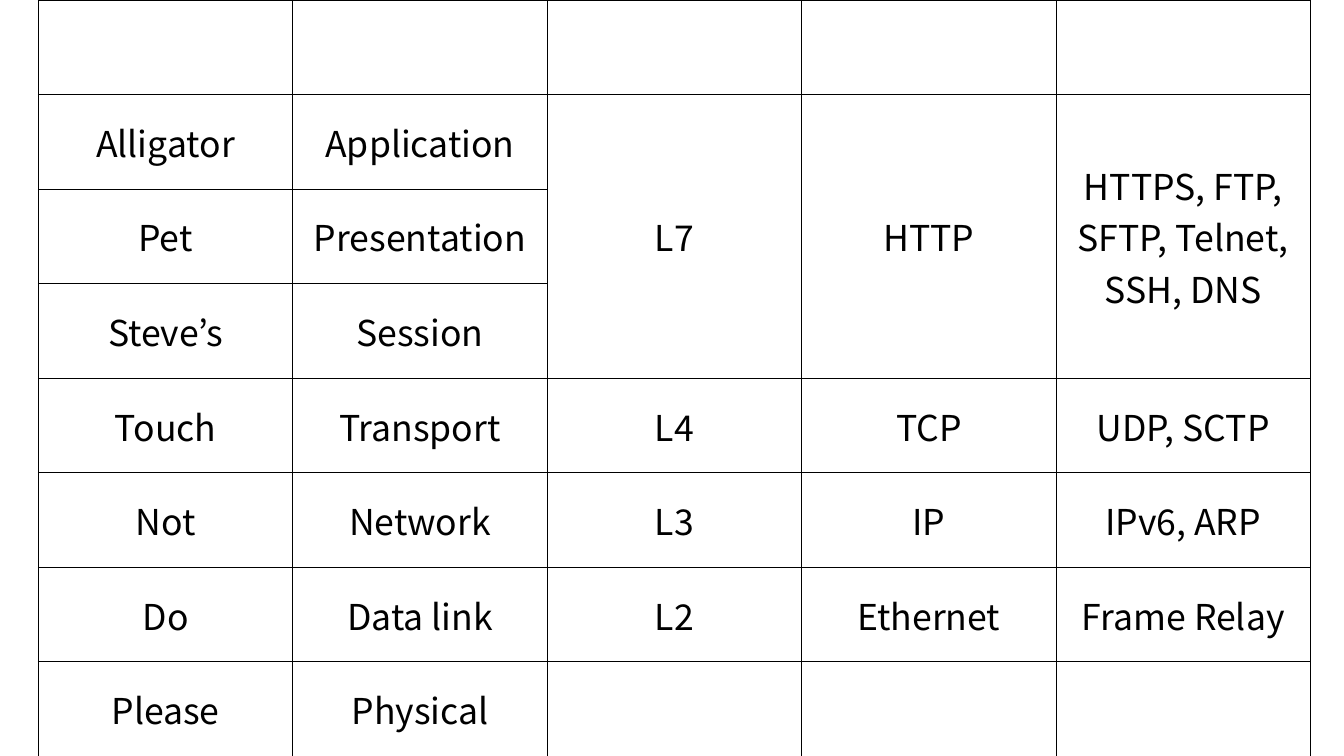
from dataclasses import dataclass

from lxml import etree
from pptx import Presentation
from pptx import util as u
from pptx.dml import color
from pptx.enum import text
from pptx.oxml import ns

LEFT, TOP = u.Cm(0.8), u.Cm(0)
COLUMN_WIDTH, ROW_HEIGHT = u.Cm(5.3), u.Cm(1.97)
COLUMNS = 5
BLACK = "000000"
BORDER_WIDTH = u.Cm(0.02)

CELL_FORMAT = {
    "margin_left": u.Cm(0.1),
    "margin_right": u.Cm(0.1),
    "margin_top": u.Cm(0.13),
    "margin_bottom": u.Cm(0.13),
    "vertical_anchor": text.MSO_ANCHOR.MIDDLE,
}
FONT_FORMAT = {"name": "Noto Sans CJK KR", "size": u.Pt(21)}


@dataclass(frozen=True)
class Layer:
    """One row: mnemonic word, OSI layer, level, main protocol, others."""
    mnemonic: str = ""
    osi_name: str = ""
    level: str = ""
    protocol: str = ""
    others: str = ""
    row_span: int = 1  # rows shared by the level and protocol cells

    def texts(self) -> tuple[str, ...]:
        return (self.mnemonic, self.osi_name, self.level, self.protocol, self.others)


LAYERS = [
    Layer(),
    Layer("Alligator", "Application", "L7", "HTTP",
          "HTTPS, FTP, SFTP, Telnet, SSH, DNS", row_span=3),
    Layer("Pet", "Presentation"),
    Layer("Steve’s", "Session"),
    Layer("Touch", "Transport", "L4", "TCP", "UDP, SCTP"),
    Layer("Not", "Network", "L3", "IP", "IPv6, ARP"),
    Layer("Do", "Data link", "L2", "Ethernet", "Frame Relay"),
    Layer("Please", "Physical"),
]


def rgb(hex_value: str) -> color.RGBColor:
    return color.RGBColor.from_string(hex_value)


def apply_format(target, values: dict) -> None:
    for attribute, value in values.items():
        setattr(target, attribute, value)


def add_borders(cell) -> None:
    """Draw a thin line on all four sides, ahead of the fill element."""
    properties = cell._tc.get_or_add_tcPr()
    for position, side in enumerate(("lnL", "lnR", "lnT", "lnB")):
        line = etree.Element(ns.qn(f"a:{side}"), w=str(BORDER_WIDTH))
        fill = etree.SubElement(line, ns.qn("a:solidFill"))
        etree.SubElement(fill, ns.qn("a:srgbClr"), val=BLACK)
        properties.insert(position, line)


def fill_cell(cell, wording: str) -> None:
    apply_format(cell, CELL_FORMAT)
    cell.fill.background()
    add_borders(cell)
    if wording:
        paragraph = cell.text_frame.paragraphs[0]
        paragraph.alignment = text.PP_ALIGN.CENTER
        run = paragraph.add_run()
        run.text = wording
        apply_format(run.font, FONT_FORMAT)
        run.font.color.rgb = rgb(BLACK)


def add_layer_table(slide) -> None:
    layer_table = slide.shapes.add_table(
        len(LAYERS), COLUMNS, LEFT, TOP,
        COLUMN_WIDTH * COLUMNS, ROW_HEIGHT * len(LAYERS)).table
    apply_format(layer_table, {"first_row": False, "horz_banding": False})
    for column in layer_table.columns:
        column.width = COLUMN_WIDTH
    for row_index, layer in enumerate(LAYERS):
        layer_table.rows[row_index].height = ROW_HEIGHT
        for column_index, wording in enumerate(layer.texts()):
            cell = layer_table.cell(row_index, column_index)
            fill_cell(cell, wording)
            # Level and protocol cells cover all rows of their layer
            if layer.row_span > 1 and column_index >= 2:
                cell.merge(layer_table.cell(row_index + layer.row_span - 1, column_index))


def main() -> None:
    presentation = Presentation()
    apply_format(presentation, {"slide_width": u.Cm(28), "slide_height": u.Cm(15.75)})
    slide = presentation.slides.add_slide(presentation.slide_layouts[6])
    add_layer_table(slide)
    presentation.save("out.pptx")


if __name__ == "__main__":
    main()
